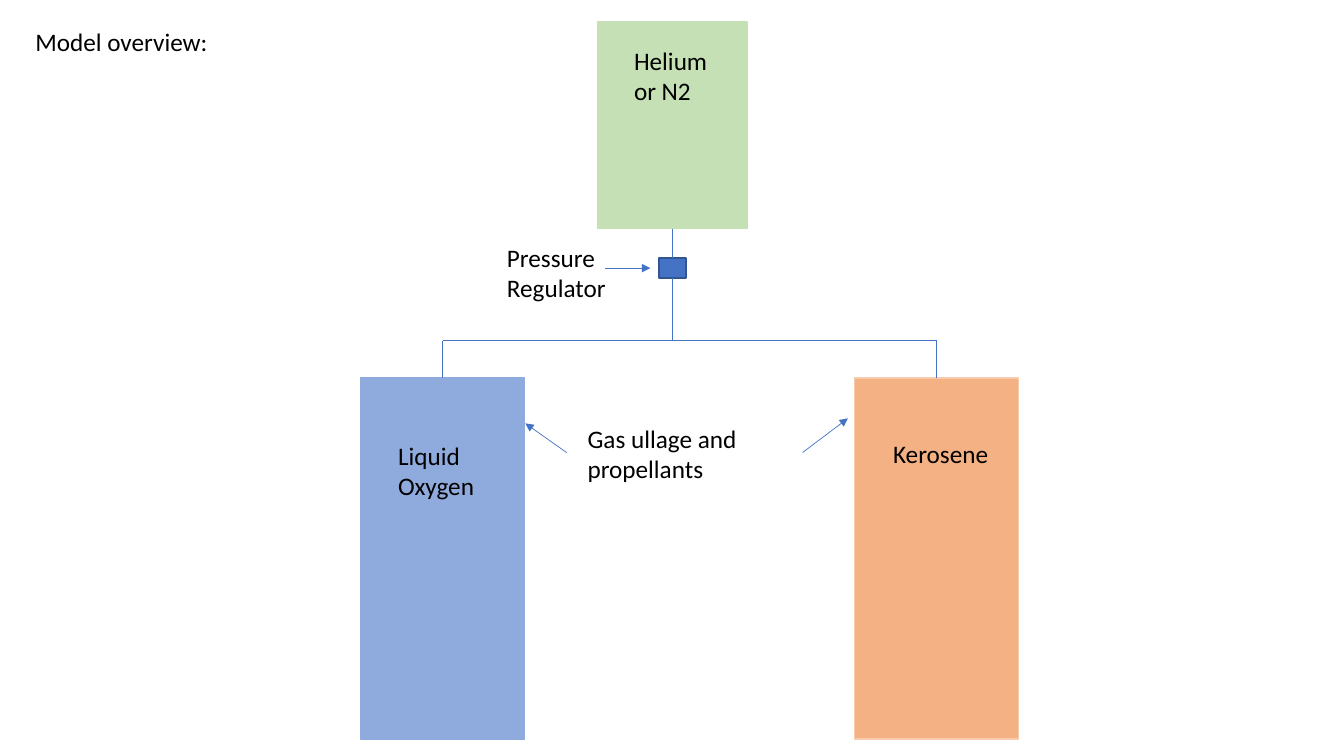
"""Build the model overview slide: a pressurant tank feeding two propellant tanks."""
import pptx
import pptx.util
import pptx.dml.color
import pptx.enum.shapes
import pptx.enum.text
import pptx.oxml.ns
import lxml.etree

Inches = pptx.util.Inches
Pt = pptx.util.Pt
rgb = pptx.dml.color.RGBColor.from_string
qn = pptx.oxml.ns.qn


def add_text(s, text, x, y, w, h, size=18, color="000000", title=False):
    if title:
        sp = s.shapes.title
        sp.left, sp.top, sp.width, sp.height = Inches(x), Inches(y), Inches(w), Inches(h)
    else:
        sp = s.shapes.add_textbox(Inches(x), Inches(y), Inches(w), Inches(h))
    tf = sp.text_frame
    tf.word_wrap = True
    tf.auto_size = pptx.enum.text.MSO_AUTO_SIZE.NONE
    tf.vertical_anchor = pptx.enum.text.MSO_ANCHOR.TOP
    p = tf.paragraphs[0]
    p.alignment = pptx.enum.text.PP_ALIGN.LEFT
    r = p.add_run()
    r.text = text
    r.font.name = "Calibri"
    r.font.size = Pt(size)
    r.font.color.rgb = rgb(color)


def add_line(s, x1, y1, x2, y2, arrow=False):
    c = s.shapes.add_connector(pptx.enum.shapes.MSO_CONNECTOR.STRAIGHT,
                               Inches(x1), Inches(y1), Inches(x2), Inches(y2))
    c.line.color.rgb = rgb("4472C4")
    c.line.width = Pt(0.5)
    if arrow:
        lxml.etree.SubElement(c.line._get_or_add_ln(), qn("a:tailEnd"), type="triangle")
    lxml.etree.SubElement(c._element.spPr, qn("a:effectLst"))
    return c


prs = pptx.Presentation()
prs.slide_width = Inches(13.33)
prs.slide_height = Inches(7.5)
s = prs.slides.add_slide(prs.slide_layouts[5])

add_text(s, "Model overview:", 0.25, 0.21, 4.14, 0.4, title=True)

feed_x, left_x, right_x, pipe_y = 6.67, 4.39, 9.29, 3.38
boxes = []
for center, y, w, h, fill, line in [
    (feed_x, 0.22, 1.48, 2.05, "C5E0B4", "C5E0B4"),
    (feed_x, 2.56, 0.27, 0.2, "4472C4", "325491"),
    (left_x, 3.75, 1.63, 3.58, "8FAADC", "8FAADC"),
    (right_x, 3.75, 1.63, 3.58, "F4B183", "F8CBAD"),
]:
    sp = s.shapes.add_shape(pptx.enum.shapes.MSO_SHAPE.RECTANGLE,
                            Inches(center - w / 2), Inches(y), Inches(w), Inches(h))
    sp.shadow.inherit = False
    sp.fill.solid()
    sp.fill.fore_color.rgb = rgb(fill)
    sp.line.color.rgb = rgb(line)
    sp.line.width = Pt(1)
    boxes.append(sp)
pressurant, regulator, oxygen, kerosene = boxes

c = add_line(s, feed_x, 2.27, feed_x, 2.56)
c.begin_connect(pressurant, 2)
c.end_connect(regulator, 0)
c = add_line(s, feed_x, 2.76, feed_x, pipe_y)
c.begin_connect(regulator, 2)
add_line(s, left_x, pipe_y, right_x, pipe_y)
for x, tank in [(left_x, oxygen), (right_x, kerosene)]:
    c = add_line(s, x, pipe_y, x, 3.75)
    c.end_connect(tank, 0)

for x1, y1, x2, y2 in [(5.62, 4.49, 5.21, 4.2), (7.96, 4.49, 8.41, 4.15), (6, 2.66, 6.45, 2.66)]:
    add_line(s, x1, y1, x2, y2, arrow=True)

for text, x, y, w, h in [
    ("Helium or N2", 6.19, 0.4, 1.06, 0.71),
    ("Pressure Regulator", 4.93, 2.35, 1.27, 0.71),
    ("Liquid Oxygen", 3.85, 4.32, 1.13, 0.71),
    ("Gas ullage and propellants", 5.73, 4.15, 2.23, 0.71),
    ("Kerosene", 8.76, 4.3, 1.24, 0.4),
]:
    add_text(s, text, x, y, w, h)

prs.save("out.pptx")
